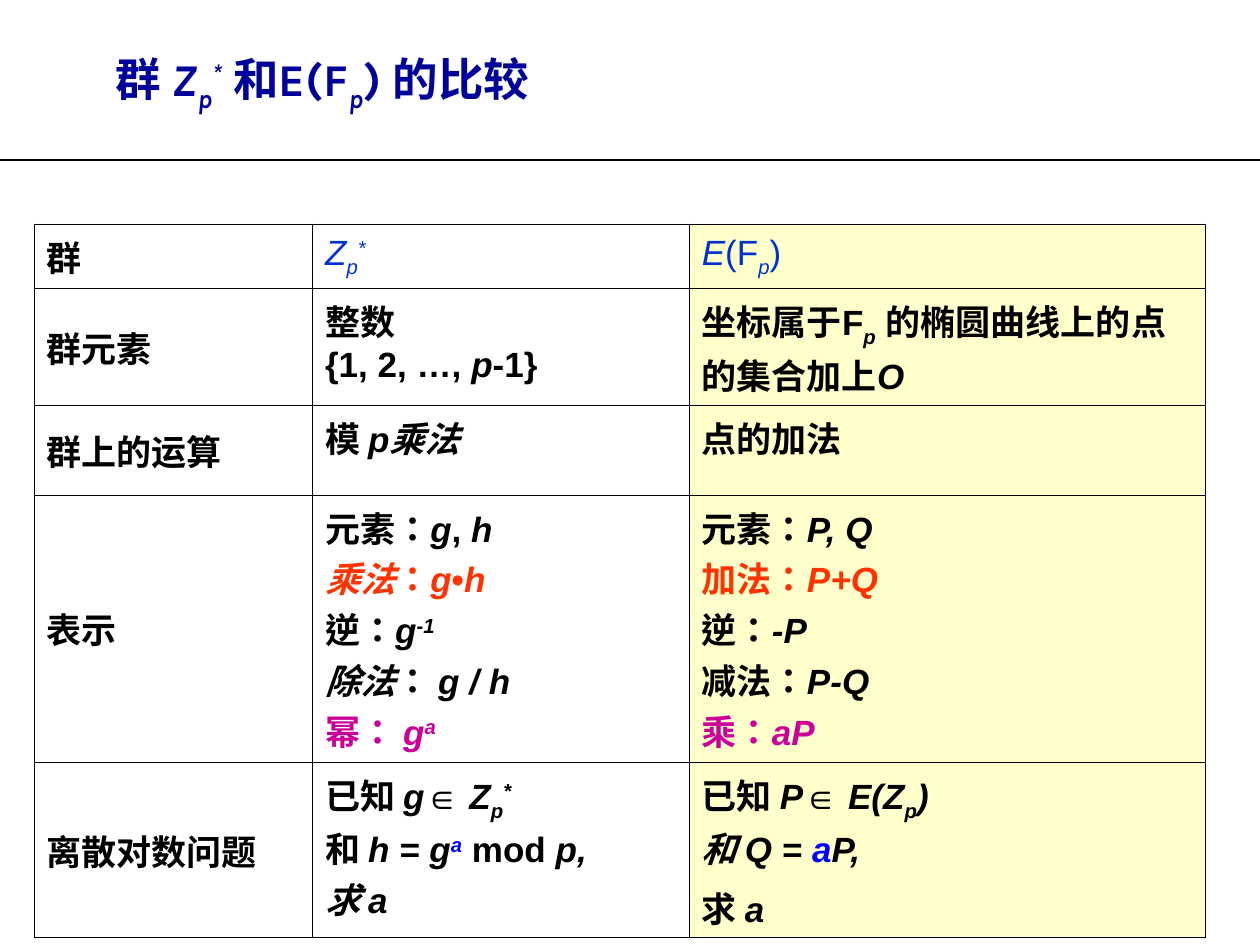
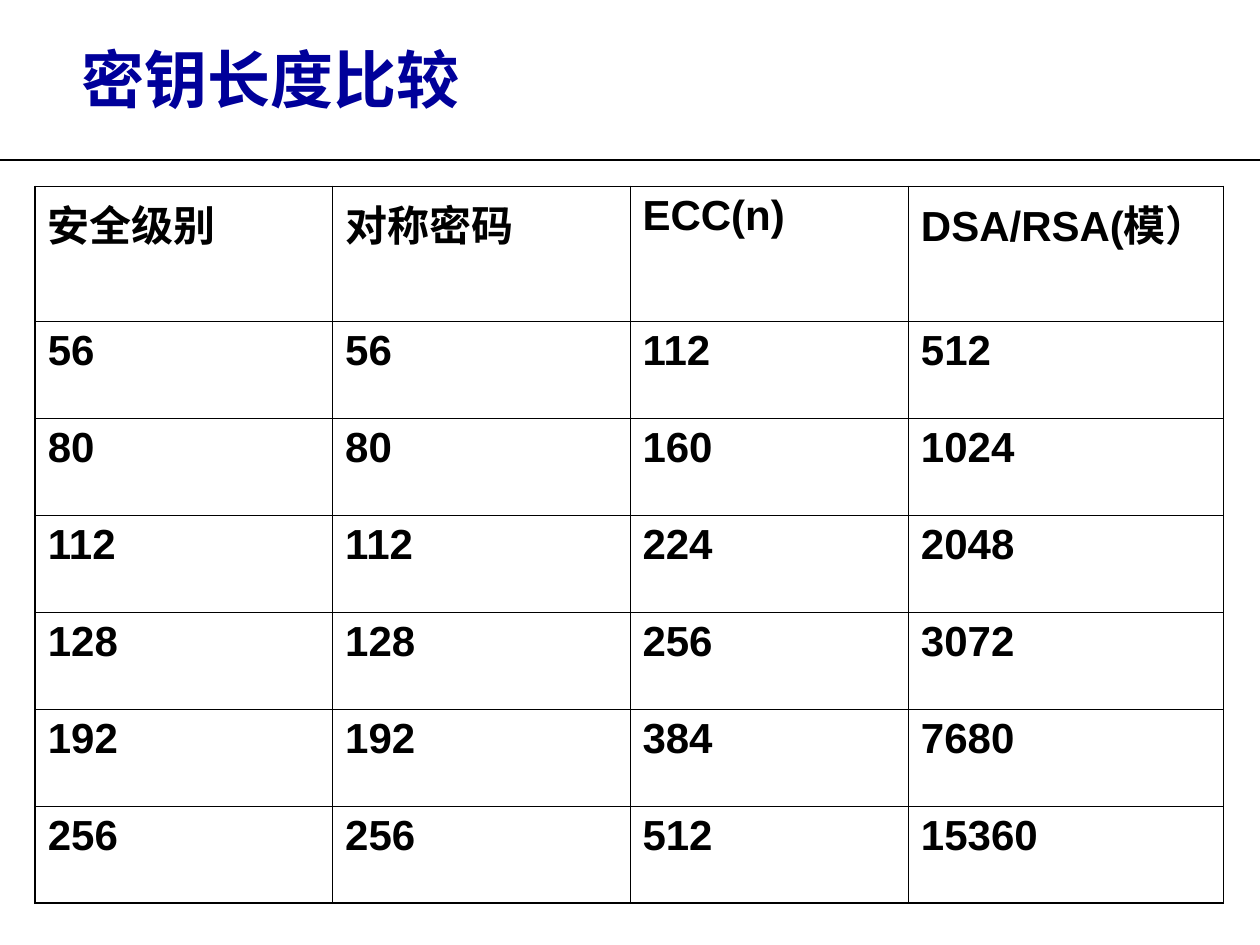
from dataclasses import dataclass

from lxml import etree
from pptx import Presentation
from pptx.dml.color import RGBColor
from pptx.enum.shapes import MSO_CONNECTOR
from pptx.enum.text import MSO_ANCHOR
from pptx.oxml.ns import qn
from pptx.util import Inches, Pt

STRAIGHT = MSO_CONNECTOR.STRAIGHT
TOP = MSO_ANCHOR.TOP
MIDDLE = MSO_ANCHOR.MIDDLE
BLANK_LAYOUT = 6
CENTRED_COLON = "："
CENTRED_COLON_LANGUAGE = "zh-TW"


@dataclass(frozen=True)
class Theme:
    title_font: str = "Karla"
    body_font: str = "Arial"
    black: str = "000000"
    navy: str = "00009A"
    highlight: str = "FFFFCC"
    rule_width: float = 1.5
    thin: float = 0.45
    thick: float = 1.08
    group_title_size: int = 26
    key_title_size: int = 36
    group_size: int = 20
    key_size: int = 24


THEME = Theme()
COLORS = {"royal": "0033CC", "red": "FF3300", "magenta": "CC0099", "blue": "0000FF"}
BASELINES = {"sub": "-25000", "sup": "30000"}

GROUP_TITLE = [
    ("群 ", ""), ("Z", "italic"), ("p", "italic sub"), ("*", "italic sup"),
    (" 和E(F", ""), ("p", "italic sub"), (") 的比较", ""),
]

GROUP_ROWS = [
    [
        "群",
        [[("Z", "italic royal plain"), ("p", "italic sub royal plain"),
          ("*", "italic sup royal plain")]],
        [[("E", "italic royal plain"), ("(F", "royal plain"),
          ("p", "italic sub royal plain"), (")", "royal plain")]],
    ],
    [
        "群元素",
        [[("整数\n{1, 2, …, ", ""), ("p", "italic"), ("-1}", "")]],
        [[("坐标属于F", ""), ("p", "italic sub"),
          (" 的椭圆曲线上的点的集合加上", ""), ("O", "italic")]],
    ],
    [
        "群上的运算",
        [[("模 ", ""), ("p乘法", "italic")]],
        "点的加法",
    ],
    [
        "表示",
        [[("元素：", ""), ("g", "italic"), (", ", ""), ("h\n", "italic"),
          ("乘法", "italic red"), ("：", "red"), ("g", "italic red"),
          ("•", "red"), ("h\n", "italic red"),
          ("逆：", ""), ("g", "italic"), ("-1\n", "italic sup"),
          ("除法", "italic"), ("： ", ""), ("g / h\n", "italic"),
          ("幂： ", "magenta"), ("g", "italic magenta"), ("a", "italic sup magenta")]],
        [[("元素：", ""), ("P, Q\n", "italic"),
          ("加法：", "red"), ("P+Q\n", "italic red"),
          ("逆：", ""), ("-P\n", "italic"),
          ("减法：", ""), ("P-Q\n", "italic"),
          ("乘：", "magenta"), ("aP", "italic magenta")]],
    ],
    [
        "离散对数问题",
        [[("已知 ", ""), ("g∈ Z", "italic"), ("p", "italic sub"), ("*\n", "italic sup"),
          ("和 ", ""), ("h = g", "italic"), ("a", "italic sup blue"),
          (" mod", ""), (" p,\n求 a", "italic")]],
        [[("已知 ", ""), ("P∈ E(Z", "italic"), ("p", "italic sub"),
          (")\n和 Q = ", "italic"), ("a", "italic blue"), ("P,", "italic")],
         [("求 ", ""), ("a", "italic")]],
    ],
]

KEY_ROWS = [
    ["安全级别", "对称密码", "ECC(n)", "DSA/RSA(模）"],
    ["56", "56", "112", "512"],
    ["80", "80", "160", "1024"],
    ["112", "112", "224", "2048"],
    ["128", "128", "256", "3072"],
    ["192", "192", "384", "7680"],
    ["256", "256", "512", "15360"],
]


def set_attributes(target, values):
    for name, value in values.items():
        setattr(target, name, value)


def margins(horizontal, vertical):
    return {
        "margin_left": Inches(horizontal), "margin_right": Inches(horizontal),
        "margin_top": Inches(vertical), "margin_bottom": Inches(vertical),
    }


def write_runs(paragraph, runs, font_name, size, color):
    for text, style in runs:
        words = style.split()
        run_color = next((COLORS[word] for word in words if word in COLORS), color)
        for index, line in enumerate(text.split("\n")):
            if index:
                paragraph.add_line_break()
            if not line:
                continue
            run = paragraph.add_run()
            run.text = line
            set_attributes(run.font, {
                "name": font_name, "size": Pt(size),
                "bold": "plain" not in words, "italic": "italic" in words,
            })
            run.font.color.rgb = RGBColor.from_string(run_color)
            properties = run._r.get_or_add_rPr()
            if CENTRED_COLON in line:
                properties.set("lang", CENTRED_COLON_LANGUAGE)
            for word in words:
                if word in BASELINES:
                    properties.set("baseline", BASELINES[word])


def write_cell(cell, content, size, space_before):
    paragraphs = [[(content, "")]] if isinstance(content, str) else content
    for index, runs in enumerate(paragraphs):
        frame = cell.text_frame
        paragraph = frame.add_paragraph() if index else frame.paragraphs[0]
        paragraph.space_before = Pt(space_before)
        write_runs(paragraph, runs, THEME.body_font, size, THEME.black)


def set_borders(cell, widths):
    properties = cell._tc.get_or_add_tcPr()
    for index, (side, width) in enumerate(zip("LRTB", widths)):
        line = etree.Element(qn(f"a:ln{side}"), w=str(Pt(width)))
        fill = etree.SubElement(line, qn("a:solidFill"))
        etree.SubElement(fill, qn("a:srgbClr"), val=THEME.black)
        properties.insert(index, line)


def add_header(slide, box, runs, size):
    rule = slide.shapes.add_connector(
        STRAIGHT, Inches(10), Inches(1.27), Inches(0), Inches(1.27))
    rule.line.color.rgb = RGBColor.from_string(THEME.black)
    rule.line.width = Pt(THEME.rule_width)
    etree.SubElement(rule._element.spPr, qn("a:effectLst"))
    frame = slide.shapes.add_textbox(*map(Inches, box)).text_frame
    set_attributes(frame, {
        "word_wrap": True, "vertical_anchor": MIDDLE, **margins(0.25, 0.1)})
    write_runs(frame.paragraphs[0], runs, THEME.title_font, size, THEME.navy)


def add_grid(slide, box, widths, heights, rows, style_cell):
    table = slide.shapes.add_table(len(rows), len(widths), *map(Inches, box)).table
    set_attributes(table, {"first_row": False, "horz_banding": False})
    for column, width in zip(table.columns, widths):
        column.width = Inches(width)
    for row, height in zip(table.rows, heights):
        row.height = Inches(height)
    for row_index, contents in enumerate(rows):
        for column_index, content in enumerate(contents):
            cell = table.cell(row_index, column_index)
            set_attributes(cell, margins(0.1, 0.05))
            cell.fill.background()
            style_cell(cell, row_index, column_index, content)


def pick_widths(*heavy_sides):
    return [THEME.thick if heavy else THEME.thin for heavy in heavy_sides]


def style_group_cell(cell, row, column, content):
    cell.vertical_anchor = MIDDLE if row == 0 or column == 0 else TOP
    if column == 2:
        cell.fill.solid()
        cell.fill.fore_color.rgb = RGBColor.from_string(THEME.highlight)
    write_cell(cell, content, THEME.group_size, 5)
    heavy_top = row == 1 and column > 0
    heavy_bottom = row == 0 and column > 0
    set_borders(cell, pick_widths(False, False, heavy_top, heavy_bottom))


def style_key_cell(cell, row, column, content):
    cell.vertical_anchor = TOP
    write_cell(cell, content, THEME.key_size, 6)
    set_borders(cell, pick_widths(
        column == 0, column == 3, row == 0, row == len(KEY_ROWS) - 1))


def build_group_slide(slide):
    add_header(slide, (0.67, 0.32, 9.33, 0.67), GROUP_TITLE, THEME.group_title_size)
    add_grid(slide, (0.27, 1.78, 9.3, 5.66), (2.21, 2.99, 4.1),
             (0.51, 0.93, 0.71, 2.12, 1.39), GROUP_ROWS, style_group_cell)


def build_key_slide(slide):
    add_header(slide, (0.4, 0, 9.6, 1.25), [("密钥长度比较", "")], THEME.key_title_size)
    add_grid(slide, (0.28, 1.48, 9.43, 5.69), (2.36, 2.36, 2.21, 2.5),
             [1.07] + [0.77] * 6, KEY_ROWS, style_key_cell)


def main():
    presentation = Presentation()
    set_attributes(presentation, {"slide_width": Inches(10), "slide_height": Inches(7.5)})
    for build in (build_group_slide, build_key_slide):
        build(presentation.slides.add_slide(presentation.slide_layouts[BLANK_LAYOUT]))
    presentation.save("out.pptx")


if __name__ == "__main__":
    main()
